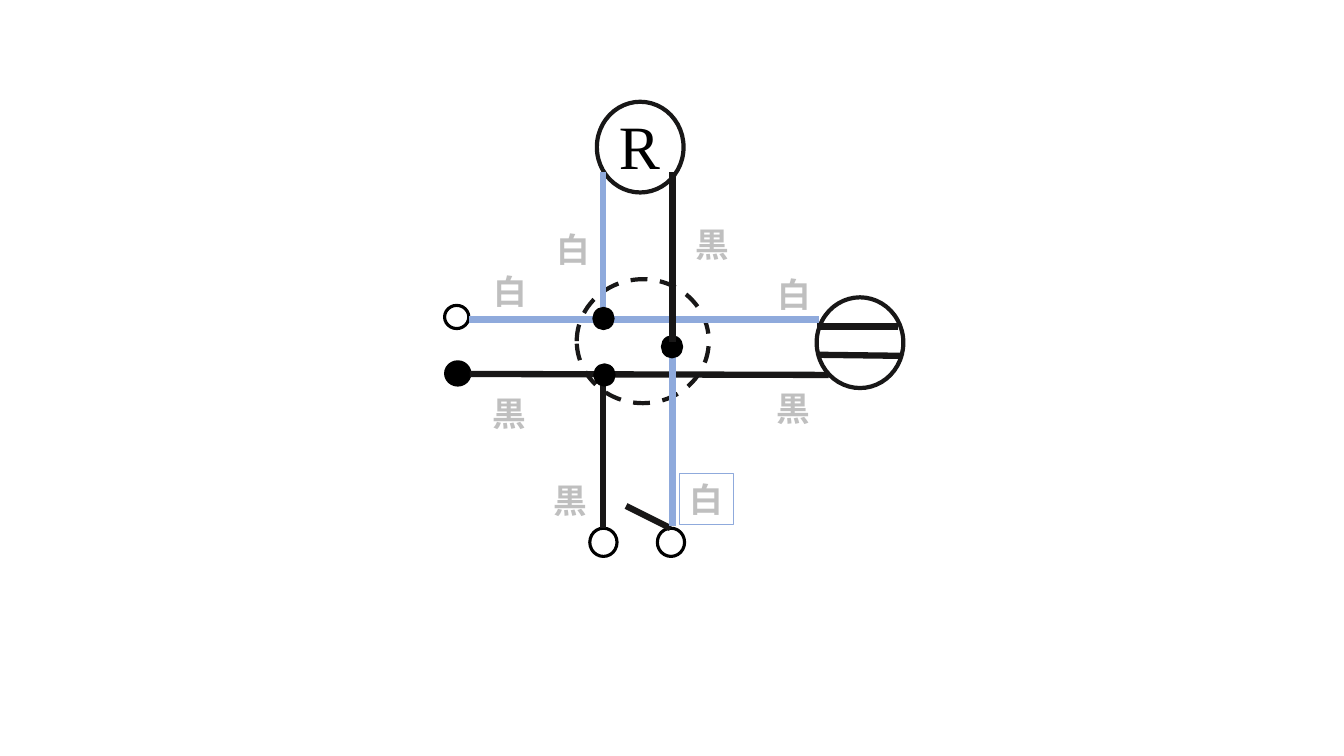
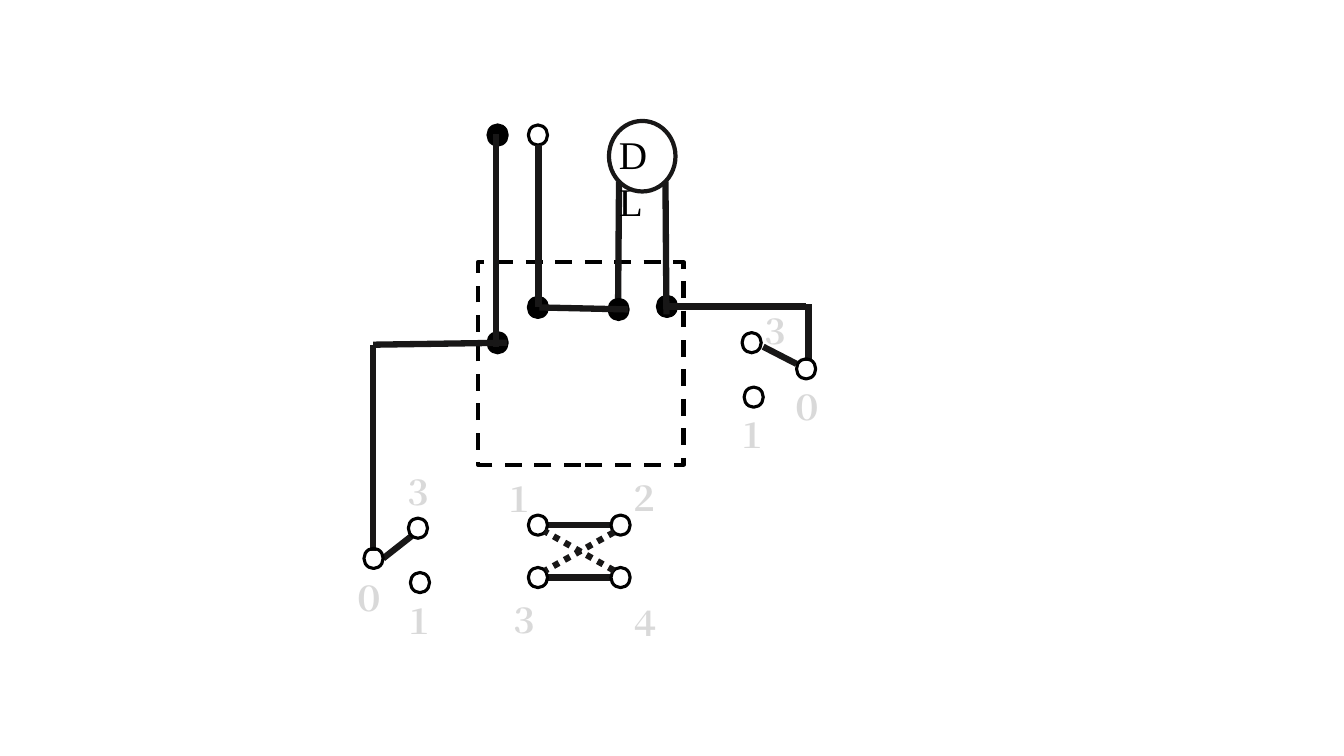
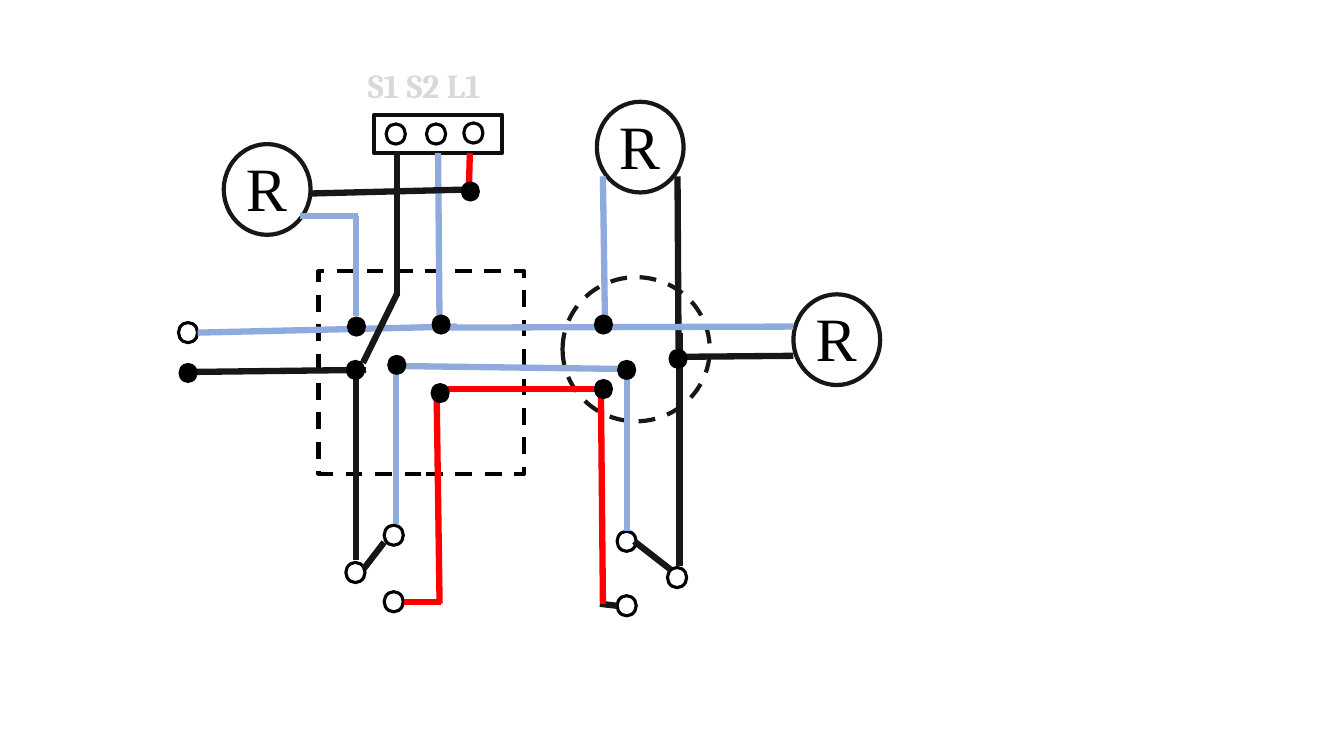
from lxml import etree
from pptx import Presentation
from pptx import util as u
from pptx.dml.color import RGBColor
from pptx.enum import dml, shapes, text
from pptx.oxml import ns

PX = 9144  # EMU in one px, 100 px to the inch
BLACK = RGBColor(0x00, 0x00, 0x00)
INK = RGBColor(0x18, 0x17, 0x17)
FRAME = RGBColor(0x0D, 0x0D, 0x0D)
WHITE = RGBColor(0xFF, 0xFF, 0xFF)
BLUE = RGBColor(0x8F, 0xAA, 0xDC)
RED = RGBColor(0xFF, 0x00, 0x00)
GREY = RGBColor(0xBF, 0xBF, 0xBF)
PALE = RGBColor(0xD9, 0xD9, 0xD9)

GOTHIC = "Noto Sans CJK JP"
SERIF = "Times New Roman"
NUMERAL = "Cambria"
OVAL = shapes.MSO_SHAPE.OVAL
RECTANGLE = shapes.MSO_SHAPE.RECTANGLE
DASH = dml.MSO_LINE.DASH
DOTTED = dml.MSO_LINE.ROUND_DOT


class Diagram:
    """Wiring diagram style and the slide being drawn."""

    def __init__(self):
        self.presentation = Presentation()
        self.presentation.slide_width = 1333 * PX
        self.presentation.slide_height = 750 * PX
        self.slide = None

    def new_slide(self):
        layout = self.presentation.slide_layouts[6]
        self.slide = self.presentation.slides.add_slide(layout)

    def outline(self, kind, box, color=INK, width=3, fill=None, dash=None):
        shape = self.slide.shapes.add_shape(kind, *(n * PX for n in box))
        shape.shadow.inherit = False
        if fill is None:
            shape.fill.background()
        else:
            shape.fill.solid()
            shape.fill.fore_color.rgb = fill
        if width:
            shape.line.color.rgb = color
            shape.line.width = u.Pt(width)
            shape.line.dash_style = dash
        else:
            shape.line.fill.background()
        return shape

    def terminals(self, corners, size=(19, 20)):
        for corner in corners:
            self.outline(OVAL, (*corner, *size), BLACK, 2.25)

    def dots(self, corners, size=(19, 20), width=2.25):
        for corner in corners:
            self.outline(OVAL, (*corner, *size), BLACK, width, BLACK)

    def wires(self, color, *ends, dash=None):
        """Draw a wire for each (x1, y1, x2, y2); return the last one."""
        for end in ends:
            wire = self.slide.shapes.add_connector(
                shapes.MSO_CONNECTOR.STRAIGHT, *(n * PX for n in end))
            wire.line.color.rgb = color
            wire.line.width = u.Pt(4.5)
            wire.line.dash_style = dash
            etree.SubElement(wire._element.spPr, ns.qn("a:effectLst"))
        return wire

    def label(self, shape, words, size, font, color, bold=False, wrap=False):
        frame = shape.text_frame
        frame.word_wrap = wrap
        frame.auto_size = text.MSO_AUTO_SIZE.SHAPE_TO_FIT_TEXT
        frame.vertical_anchor = text.MSO_ANCHOR.TOP
        paragraph = frame.paragraphs[0]
        paragraph.text = words
        paragraph.alignment = text.PP_ALIGN.LEFT
        paragraph.font.size = u.Pt(size)
        paragraph.font.bold = bold
        paragraph.font.color.rgb = color
        paragraph.font.name = font
        properties = paragraph._p.pPr.find(ns.qn("a:defRPr"))
        etree.SubElement(properties, ns.qn("a:ea")).set("typeface", font)

    def textbox(self, box, words, *style, **options):
        shape = self.slide.shapes.add_textbox(*(n * PX for n in box))
        self.label(shape, words, *style, **options)

    def color_names(self, name, corners):
        for corner in corners:
            self.textbox((*corner, 54, 50), name, 24, GOTHIC, GREY, bold=True)

    def numbers(self, places):
        for digit, left, top in places:
            self.textbox((left, top, 54, 50), digit, 24, NUMERAL, PALE,
                         bold=True, wrap=True)

    def lamp(self, left, top):
        self.outline(OVAL, (left, top, 86, 90), fill=WHITE)
        self.textbox((left + 12, top + 1, 59, 84), "R", 44, SERIF, BLACK)

    def dashed_box(self, left, top):
        self.outline(RECTANGLE, (left, top, 204, 201), BLACK, dash=DASH)


def lamp_and_outlet(diagram):
    diagram.new_slide()
    # Outlet, junction box and lamp
    diagram.outline(OVAL, (810, 295, 86, 90), fill=WHITE)
    diagram.outline(OVAL, (572, 277, 131, 123), fill=WHITE, dash=DASH)
    diagram.wires(INK, (891, 324, 810, 324), (893, 353, 812, 352))
    diagram.lamp(592, 101)
    # Switch and supply
    diagram.terminals([(585, 524), (652, 524)], (27, 28))
    diagram.terminals([(441, 303)], (24, 23))
    diagram.dots([(442, 359)], (24, 23))
    # Wires and joints
    diagram.wires(INK, (665, 524, 621, 502))
    diagram.wires(BLUE, (812, 317, 465, 317), (598, 171, 598, 322))
    diagram.wires(INK, (822, 372, 466, 371), (598, 524, 598, 375))
    diagram.wires(BLUE, (667, 354, 667, 522))
    diagram.dots([(589, 306), (590, 362), (657, 334)])
    diagram.wires(INK, (667, 171, 667, 339))
    # Wire colour names
    diagram.color_names("白", [(480, 264), (542, 222), (761, 267)])
    diagram.color_names("黒", [(680, 217), (760, 380), (539, 471), (479, 385)])
    framed = diagram.outline(RECTANGLE, (674, 470, 54, 50), BLUE, 0.75)
    diagram.label(framed, "白", 24, GOTHIC, GREY, bold=True)


def three_place_switching(diagram):
    diagram.new_slide()
    # Junction box and lamp
    diagram.dashed_box(474, 260)
    diagram.wires(INK, (614, 180, 613, 305))
    diagram.outline(OVAL, (604, 120, 66, 70), fill=WHITE)
    diagram.textbox((604, 124, 67, 57), "DL", 28, SERIF, BLACK, wrap=True)
    # Supply and joints
    diagram.dots([(484, 124), (484, 330), (524, 295), (604, 297), (652, 294)])
    diagram.terminals([(524, 124)])
    diagram.wires(
        INK,
        (370, 342, 370, 547), (370, 342, 503, 340), (492, 344, 492, 133),
        (534, 305, 534, 144), (535, 305, 623, 307), (660, 180, 661, 312),
        (660, 304, 799, 304), (802, 358, 802, 302))
    # Three-way switches
    diagram.wires(INK, (790, 361, 757, 344), (408, 532, 380, 554))
    diagram.terminals([(736, 330), (790, 356), (738, 384),
                       (405, 514), (361, 544), (407, 568)])
    diagram.numbers([("１", 720, 407), ("０", 774, 379), ("３", 742, 304),
                     ("１", 389, 591), ("０", 340, 568), ("３", 388, 463)])
    # Four-way switch
    for top in (511, 563):
        diagram.wires(INK, (606, top + 10, 544, top + 10))
        diagram.terminals([(606, top), (524, top)])
    diagram.wires(INK, (609, 566, 540, 527), (609, 528, 541, 566), dash=DOTTED)
    diagram.numbers([("１", 489, 470), ("３", 494, 590),
                     ("４", 614, 593), ("２", 613, 469)])


def time_switch(diagram):
    diagram.new_slide()
    # Junction boxes and lamps
    diagram.outline(OVAL, (558, 275, 146, 143), fill=WHITE, dash=DASH)
    diagram.dashed_box(316, 269)
    for corner in ((592, 101), (787, 292), (222, 143)):
        diagram.lamp(*corner)
    # Switch and supply terminals
    diagram.terminals([(381, 521), (381, 587), (343, 558), (612, 527),
                       (612, 591), (662, 563), (177, 320)])
    # Time switch block
    block = diagram.outline(RECTANGLE, (371, 114, 127, 38), FRAME)
    diagram.terminals([(383, 123), (423, 123), (460, 122)])
    diagram.textbox((355, 59, 159, 50), "S1 S2 L1", 24, NUMERAL, PALE,
                    bold=True, wrap=True)
    # Wires
    diagram.wires(
        INK,
        (612, 601, 595, 599), (381, 538, 361, 564), (353, 556, 353, 369),
        (673, 346, 672, 175), (674, 562, 674, 330), (665, 565, 629, 537),
        (363, 367, 192, 369), (676, 354, 787, 353))
    diagram.wires(
        BLUE,
        (453, 324, 196, 330), (622, 527, 622, 364), (353, 314, 353, 214),
        (600, 320, 598, 175), (443, 325, 787, 324), (393, 520, 393, 362),
        (386, 363, 615, 366), (355, 214, 298, 214))
    diagram.wires(
        RED,
        (598, 599, 596, 387), (436, 599, 433, 386), (433, 386, 595, 386),
        (401, 597, 437, 597), (465, 190, 466, 152))
    neutral = diagram.wires(BLUE, (436, 326, 434, 152))
    neutral.end_connect(block, 2)
    diagram.wires(INK, (394, 294, 394, 150), (394, 291, 360, 360),
                  (465, 188, 308, 192))
    # Joints
    diagram.dots(
        [(343, 357), (663, 346), (344, 314), (589, 312), (177, 360),
         (612, 357), (384, 352), (427, 380), (589, 376), (428, 312),
         (457, 180)], width=0)


def main():
    diagram = Diagram()
    lamp_and_outlet(diagram)
    three_place_switching(diagram)
    time_switch(diagram)
    diagram.presentation.save("out.pptx")


if __name__ == "__main__":
    main()
